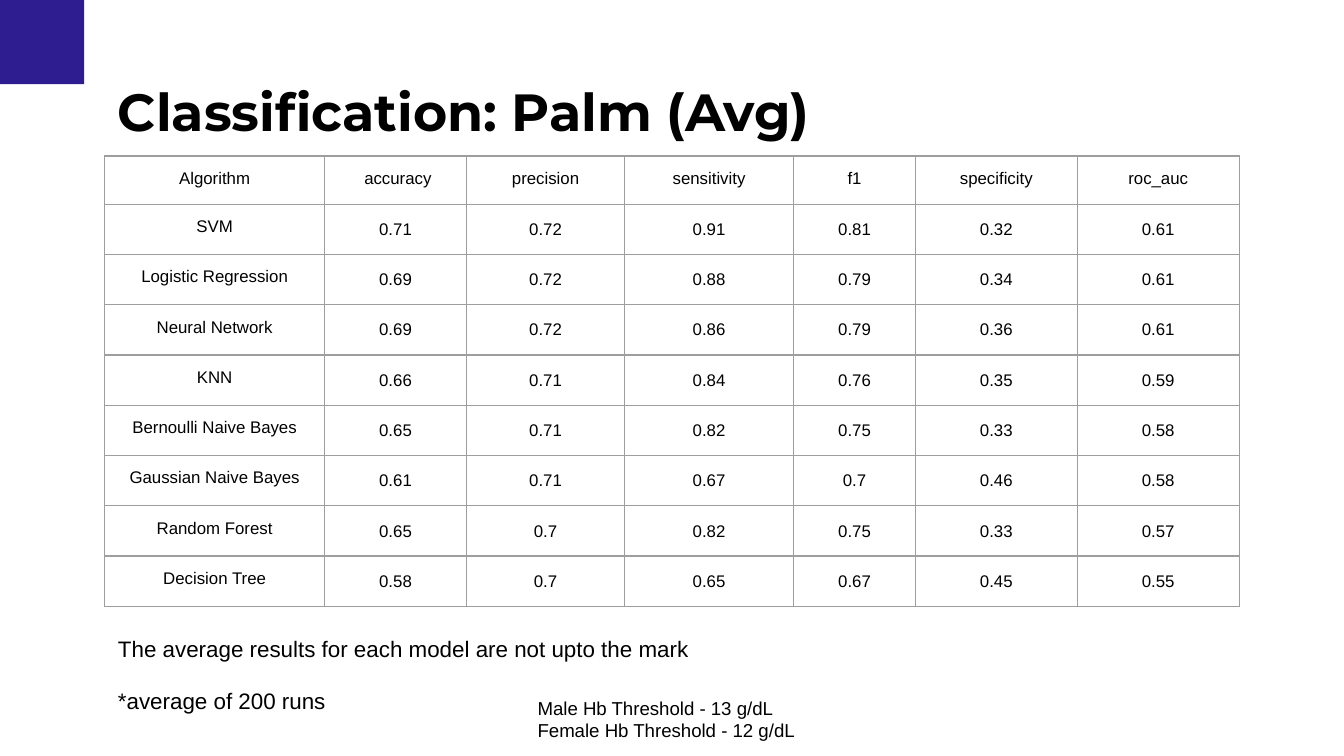
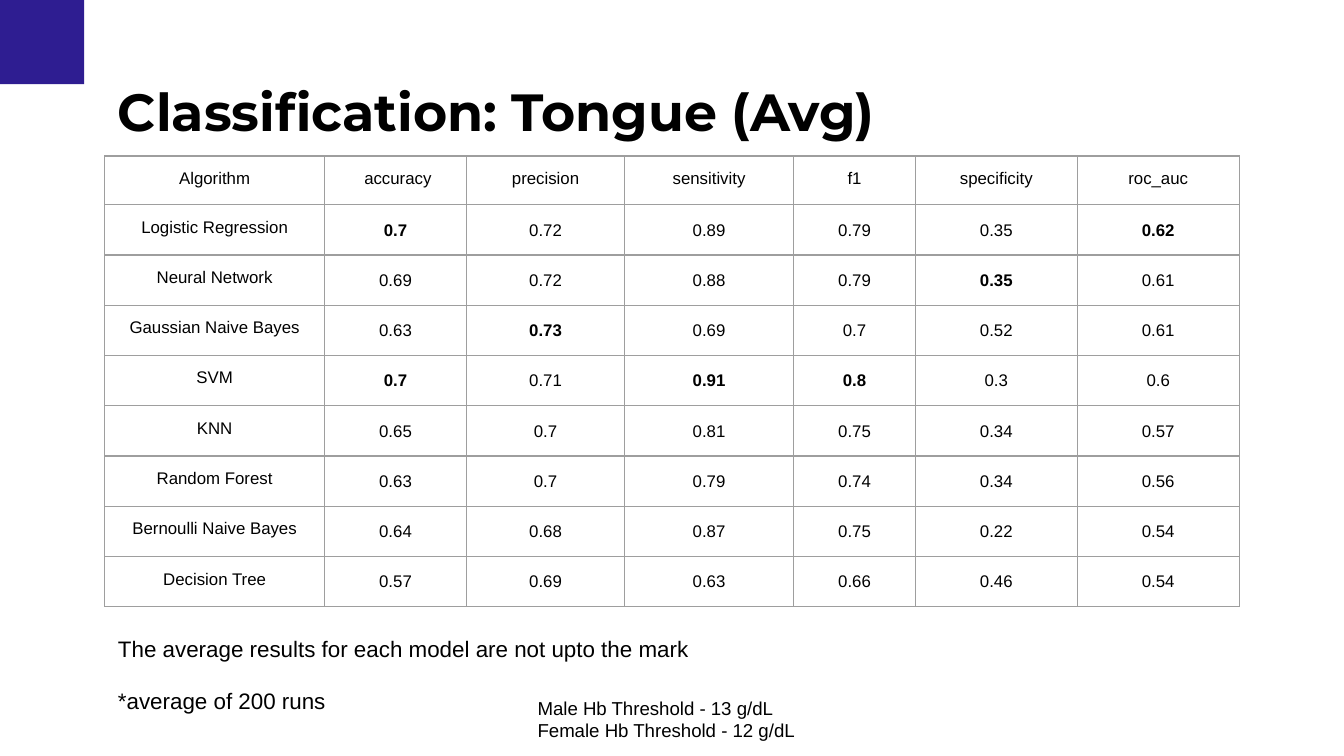
"""Build two slides of average classification results, for palm and for tongue."""
import dataclasses

import pptx
import pptx.dml.color
import pptx.enum.shapes
import pptx.enum.text
import pptx.oxml
import pptx.oxml.ns
import pptx.util
from pptx.util import Cm

HEADERS = ("Algorithm", " accuracy", "precision", "sensitivity", "f1", "specificity", "roc_auc")

RESULTS = [
    {
        "title": "Classification: Palm (Avg)",
        "row_height": 0.91,
        "rows": [
            ("SVM", 0.71, 0.72, 0.91, 0.81, 0.32, 0.61),
            ("Logistic Regression", 0.69, 0.72, 0.88, 0.79, 0.34, 0.61),
            ("Neural Network", 0.69, 0.72, 0.86, 0.79, 0.36, 0.61),
            ("KNN", 0.66, 0.71, 0.84, 0.76, 0.35, 0.59),
            ("Bernoulli Naive Bayes", 0.65, 0.71, 0.82, 0.75, 0.33, 0.58),
            ("Gaussian Naive Bayes", 0.61, 0.71, 0.67, 0.7, 0.46, 0.58),
            ("Random Forest", 0.65, 0.7, 0.82, 0.75, 0.33, 0.57),
            ("Decision Tree", 0.58, 0.7, 0.65, 0.67, 0.45, 0.55),
        ],
        "highlights": {},
    },
    {
        "title": "Classification: Tongue (Avg)",
        "row_height": 0.92,
        "rows": [
            ("Logistic Regression", 0.7, 0.72, 0.89, 0.79, 0.35, 0.62),
            ("Neural Network", 0.69, 0.72, 0.88, 0.79, 0.35, 0.61),
            ("Gaussian Naive Bayes", 0.63, 0.73, 0.69, 0.7, 0.52, 0.61),
            ("SVM", 0.7, 0.71, 0.91, 0.8, 0.3, 0.6),
            ("KNN", 0.65, 0.7, 0.81, 0.75, 0.34, 0.57),
            ("Random Forest", 0.63, 0.7, 0.79, 0.74, 0.34, 0.56),
            ("Bernoulli Naive Bayes", 0.64, 0.68, 0.87, 0.75, 0.22, 0.54),
            ("Decision Tree", 0.57, 0.69, 0.63, 0.66, 0.46, 0.54),
        ],
        "highlights": {
            "Logistic Regression": ("accuracy", "roc_auc"),
            "Neural Network": ("specificity",),
            "Gaussian Naive Bayes": ("precision",),
            "SVM": ("accuracy", "sensitivity", "f1"),
        },
    },
]

CONCLUSION = ["The average results for each model are not upto the mark"]
FOOTNOTE = ["*average of 200 runs"]
THRESHOLDS = ["Male Hb Threshold - 13 g/dL", "Female Hb Threshold - 12 g/dL"]


@dataclasses.dataclass(frozen=True)
class Theme:
    accent: str = "2E1D91"
    text: str = "000000"
    border: str = "9E9E9E"
    border_width: float = 0.75
    title_font: str = "Montserrat"
    body_font: str = "Arial"
    title_size: int = 28
    note_size: int = 12
    threshold_size: int = 10
    table_size: int = 9


THEME = Theme()
LEFT = 1.98
TABLE_TOP = 2.95
CORNER_SIZE = 1.59
COLUMN_WIDTHS = (4.15, 2.69, 2.98, 3.2, 2.3, 3.06, 3.06)
TABLE_WIDTH = sum(COLUMN_WIDTHS)


def color(value):
    return pptx.dml.color.RGBColor.from_string(value)


def format_runs(paragraph, size, font=THEME.body_font, bold=False):
    for run in paragraph.runs:
        run.font.name = font
        run.font.size = pptx.util.Pt(size)
        run.font.bold = bold
        run.font.color.rgb = color(THEME.text)


def set_margins(target):
    target.margin_left = target.margin_right = target.margin_top = Cm(0.25)
    target.margin_bottom = Cm(0.26)


def add_text(slide, lines, box, size, **style):
    text_frame = slide.shapes.add_textbox(*map(Cm, box)).text_frame
    text_frame.word_wrap = True
    set_margins(text_frame)
    text_frame.text = "\n".join(lines)
    for paragraph in text_frame.paragraphs:
        format_runs(paragraph, size, **style)


def add_corner(slide):
    corner = slide.shapes.add_shape(
        pptx.enum.shapes.MSO_SHAPE.RECTANGLE, 0, 0, Cm(CORNER_SIZE), Cm(CORNER_SIZE)
    )
    corner.shadow.inherit = False
    corner.fill.solid()
    corner.fill.fore_color.rgb = color(THEME.accent)
    corner.line.fill.background()


def add_borders(cell):
    properties = cell._tc.get_or_add_tcPr()
    width = pptx.util.Pt(THEME.border_width)
    namespace = pptx.oxml.ns.nsdecls("a")
    for position, side in enumerate(("lnL", "lnR", "lnT", "lnB")):
        properties.insert(position, pptx.oxml.parse_xml(
            f'<a:{side} {namespace} w="{width}"><a:solidFill>'
            f'<a:srgbClr val="{THEME.border}"/></a:solidFill></a:{side}>'
        ))


def fill_cell(cell, value, bold):
    cell.fill.background()
    add_borders(cell)
    set_margins(cell)
    cell.text_frame.text = str(value)
    paragraph = cell.text_frame.paragraphs[0]
    paragraph.alignment = pptx.enum.text.PP_ALIGN.CENTER
    if isinstance(value, float):
        paragraph.line_spacing = 1.15
    format_runs(paragraph, THEME.table_size, bold=bold)


def add_results_table(slide, result):
    rows = [HEADERS, *result["rows"]]
    height = result["row_height"]
    table = slide.shapes.add_table(
        len(rows), len(HEADERS), Cm(LEFT), Cm(TABLE_TOP), Cm(TABLE_WIDTH), Cm(height * len(rows))
    ).table
    table.first_row = table.horz_banding = False
    for column, width in zip(table.columns, COLUMN_WIDTHS):
        column.width = Cm(width)
    for row_index, values in enumerate(rows):
        table.rows[row_index].height = Cm(height)
        highlighted = result["highlights"].get(values[0], ())
        for column_index, value in enumerate(values):
            bold = HEADERS[column_index].strip() in highlighted
            fill_cell(table.cell(row_index, column_index), value, bold)


def add_result_slide(presentation, result):
    slide = presentation.slides.add_slide(presentation.slide_layouts[6])
    add_corner(slide)
    add_text(slide, [result["title"]], (LEFT, 1.25, TABLE_WIDTH, 1.7),
             THEME.title_size, font=THEME.title_font, bold=True)
    add_results_table(slide, result)
    add_text(slide, THRESHOLDS, (9.91, 12.92, 5.59, 1.37), THEME.threshold_size)
    add_text(slide, CONCLUSION, (LEFT, 11.76, 13.36, 1.02), THEME.note_size)
    add_text(slide, FOOTNOTE, (LEFT, 12.73, 4.47, 1.14), THEME.note_size)


def main():
    presentation = pptx.Presentation()
    presentation.slide_width, presentation.slide_height = Cm(25.4), Cm(14.29)
    for result in RESULTS:
        add_result_slide(presentation, result)
    presentation.save("out.pptx")


if __name__ == "__main__":
    main()
